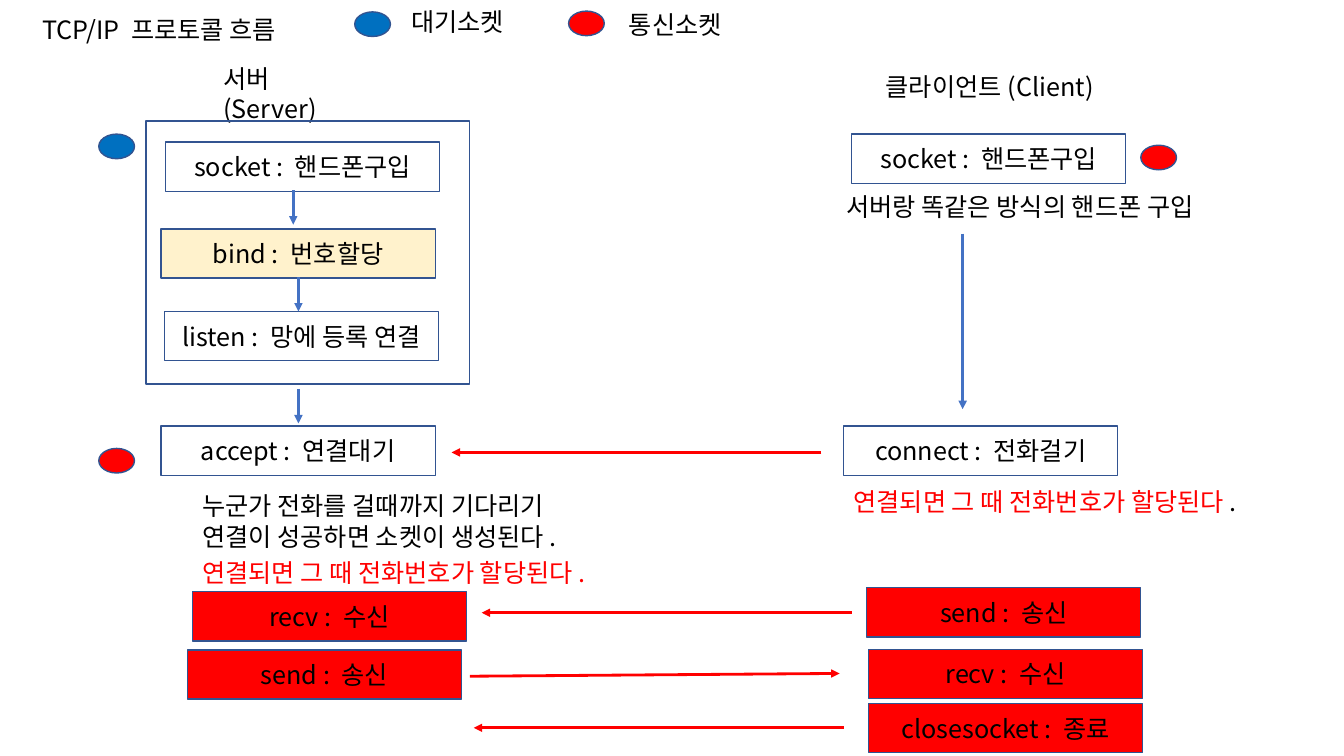
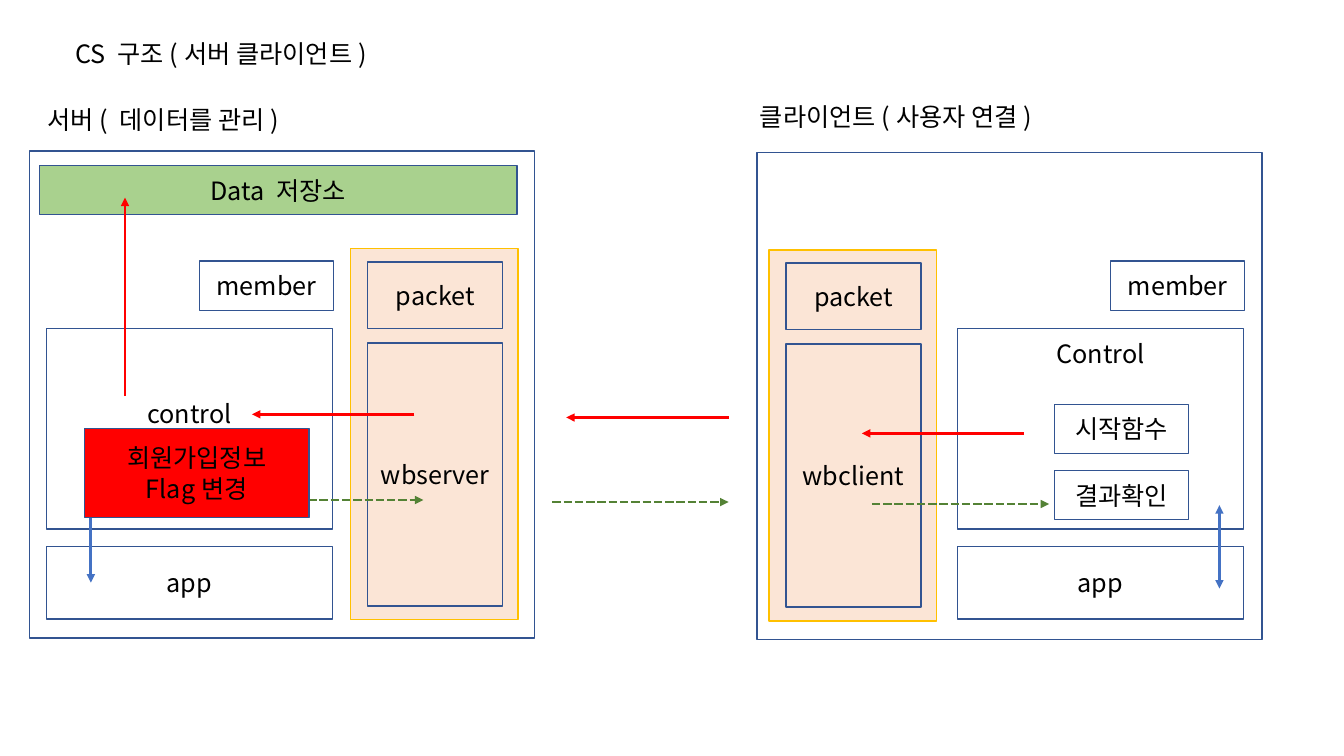
from lxml import etree
from pptx import Presentation
from pptx import util as u
from pptx.dml.color import RGBColor
from pptx.enum import dml, shapes, text
from pptx.oxml import ns

FONT = "Noto Sans CJK KR"
SIZE = 18
COLORS = {"ink": "000000", "edge": "325491", "blue": "4472C4", "wait": "0070C0",
          "red": "FF0000", "green": "548235", "cream": "FFF2CC", "leaf": "A9D18E",
          "peach": "FBE5D6", "gold": "FFC000"}
STEP = (6.91, 1.24)
DOT = (0.9, 0.62)
LABEL_HEIGHT = 1.02
LINE_HEIGHT = 0.76
INSET = 0.13
ASSIGNED = "연결되면 그 때 전화번호가 할당된다"

FLOW_LABELS = [
    ("TCP/IP 프로토콜 흐름", 0.81, 0.23, 6.76),
    ("대기소켓", 10.11, 0.03, 3.07),
    ("통신소켓", 15.6, 0.1, 3.07),
    ("클라이언트(Client)", 22.07, 1.68, 5.77),
    ("서버랑 똑같은 방식의 핸드폰 구입", 21.08, 4.7, 10.39),
]
FLOW_STEPS = [
    ("socket : 핸드폰구입", 4.17, 3.58, None),
    ("bind : 번호할당", 4.06, 5.77, "cream"),
    ("listen : 망에 등록 연결", 4.14, 7.85, None),
    ("accept : 연결대기", 4.06, 10.74, None),
    ("socket : 핸드폰구입", 21.46, 3.38, None),
    ("connect : 전화걸기", 21.26, 10.74, None),
    ("recv : 수신", 4.85, 14.91, "red"),
    ("send : 송신", 4.72, 16.38, "red"),
    ("send : 송신", 21.84, 14.81, "red"),
    ("recv : 수신", 21.89, 16.36, "red"),
    ("closesocket : 종료", 21.89, 17.73, "red"),
]
FLOW_DOTS = [
    (8.94, 0.3, "wait"), (14.33, 0.28, "red"), (2.49, 3.38, "wait"),
    (2.49, 11.3, "red"), (28.75, 3.66, "red"),
]
FLOW_ARROWS = [
    (7.39, 4.8, 7.39, 5.66, "blue"),
    (7.52, 6.99, 7.52, 7.85, "blue"),
    (7.52, 9.8, 7.52, 10.67, "blue"),
    (24.26, 5.89, 24.26, 10.31, "blue"),
    (20.7, 11.4, 11.38, 11.4, "red"),
    (21.46, 15.44, 12.14, 15.44, "red"),
    (11.84, 17.04, 21.16, 16.97, "red"),
    (21.26, 18.34, 11.94, 18.34, "red"),
]

ROLE_LABELS = [
    ("CS 구조(서버 클라이언트)", 1.65, 0.84, 8.1),
    ("서버( 데이터를 관리)", 0.94, 2.51, 6.48),
    ("클라이언트(사용자 연결)", 18.9, 2.44, 7.54),
]
ROLES = [
    {"frame": (0.74, 3.81), "band": (8.84, 6.27), "column": 1.17,
     "library": "wbserver", "control": "control", "lifted_lines": 1},
    {"frame": (19.08, 3.84), "band": (19.38, 6.3), "column": 24.13,
     "library": "wbclient", "control": "Control", "lifted_lines": 5},
]
ROLE_ARROWS = [
    (25.81, 10.92, 21.72, 10.92, "red"),
    (18.36, 10.52, 14.27, 10.52, "red"),
    (10.44, 10.44, 6.35, 10.44, "red"),
    (3.15, 9.98, 3.15, 4.98, "red"),
    (5.21, 12.6, 10.67, 12.6, "green"),
    (13.92, 12.65, 18.36, 12.65, "green"),
    (21.97, 12.7, 26.44, 12.7, "green"),
]
APP_LINKS = [(30.73, 12.73, 30.73, 14.83, "blue"), (2.29, 12.6, 2.29, 14.68, "blue")]
CLIENT_FUNCTIONS = [("시작함수", 10.19), ("결과확인", 11.86)]


def rgb(name):
    return RGBColor.from_string(COLORS[name])


def write(frame, lines, color="ink", align=None):
    for index, line in enumerate(lines):
        para = frame.paragraphs[0] if index == 0 else frame.add_paragraph()
        para.add_run().text = line
        para.font.size = u.Pt(SIZE)
        para.font.name = FONT
        para.font.color.rgb = rgb(color)
        if align is not None:
            para.alignment = align
        props = para._p.pPr.find(ns.qn("a:defRPr"))
        etree.SubElement(props, ns.qn("a:ea")).set("typeface", FONT)


def add_label(page, lines, left, top, width, height=LABEL_HEIGHT, color="ink", wrap=False):
    label = page.shapes.add_textbox(u.Cm(left), u.Cm(top), u.Cm(width), u.Cm(height))
    label.text_frame.word_wrap = wrap
    write(label.text_frame, lines, color)
    return label


def add_box(page, left, top, width, height, lines=(), fill=None, edge="edge",
            kind=shapes.MSO_SHAPE.RECTANGLE, lifted_lines=0):
    box = page.shapes.add_shape(kind, u.Cm(left), u.Cm(top), u.Cm(width), u.Cm(height))
    box.shadow.inherit = False
    if fill:
        box.fill.solid()
        box.fill.fore_color.rgb = rgb(fill)
    else:
        box.fill.background()
    box.line.color.rgb = rgb(edge)
    box.line.width = u.Pt(1)
    frame = box.text_frame
    frame.vertical_anchor = text.MSO_ANCHOR.MIDDLE
    frame.margin_bottom = u.Cm(INSET + lifted_lines * LINE_HEIGHT)
    write(frame, lines, align=text.PP_ALIGN.CENTER)


def add_arrow(page, x1, y1, x2, y2, color, both=False):
    arrow = page.shapes.add_connector(shapes.MSO_CONNECTOR.STRAIGHT,
                                      u.Cm(x1), u.Cm(y1), u.Cm(x2), u.Cm(y2))
    arrow.line.color.rgb = rgb(color)
    arrow.line.width = u.Pt(2)
    if color == "green":
        arrow.line.dash_style = dml.MSO_LINE.SQUARE_DOT
    line = arrow.line._get_or_add_ln()
    for end in ("headEnd", "tailEnd") if both else ("tailEnd",):
        etree.SubElement(line, ns.qn("a:" + end)).set("type", "triangle")
    etree.SubElement(arrow._element.spPr, ns.qn("a:effectLst"))


def build_flow(page):
    for line, left, top, width in FLOW_LABELS:
        add_label(page, [line], left, top, width)
    add_label(page, ["서버(Server)"], 5.38, 1.47, 3.8, wrap=True)
    add_box(page, 3.68, 3.05, 8.15, 6.63)
    for line, left, top, fill in FLOW_STEPS:
        add_box(page, left, top, *STEP, [line], fill)
    for left, top, fill in FLOW_DOTS:
        add_box(page, left, top, *DOT, fill=fill, kind=shapes.MSO_SHAPE.OVAL)
    for arrow in FLOW_ARROWS:
        add_arrow(page, *arrow)
    add_label(page, ["누군가 전화를 걸때까지 기다리기", "연결이 성공하면 소켓이 생성된다."],
              4.85, 12.24, 10.67, 1.8, wrap=True)
    add_label(page, [ASSIGNED + "."], 4.85, 13.92, 11.18, color="red")
    note = add_label(page, [ASSIGNED], 21.26, 12.12, 11.18, color="red")
    period = note.text_frame.paragraphs[0].add_run()
    period.text = "."
    period.font.color.rgb = rgb("ink")


def build_role(page, role):
    column = role["column"]
    left, top = role["band"]
    add_box(page, *role["frame"], 12.73, 12.27)
    add_box(page, column, 13.77, 7.21, 1.83, ["app"])
    add_box(page, column, 8.28, 7.21, 5.05, [role["control"]],
            lifted_lines=role["lifted_lines"])
    add_box(page, column + 3.86, 6.58, 3.38, 1.24, ["member"])
    add_box(page, left, top, 4.22, 9.35, fill="peach", edge="gold")
    add_box(page, left + 0.43, top + 0.33, 3.4, 1.68, ["packet"])
    add_box(page, left + 0.43, top + 2.37, 3.4, 6.63, [role["library"]])


def build_roles(page):
    for line, left, top, width in ROLE_LABELS:
        add_label(page, [line], left, top, width)
    for role in ROLES:
        build_role(page, role)
    add_box(page, 0.99, 4.17, 12.04, 1.24, ["Data 저장소"], "leaf")
    for link in APP_LINKS:
        add_arrow(page, *link, both=True)
    for arrow in ROLE_ARROWS:
        add_arrow(page, *arrow)
    for line, top in CLIENT_FUNCTIONS:
        add_box(page, 26.57, top, 3.38, 1.24, [line])
    add_box(page, 2.13, 10.8, 5.66, 2.24, ["회원가입정보", "Flag변경"], "red")


deck = Presentation()
deck.slide_width, deck.slide_height = u.Cm(33.87), u.Cm(19.05)
for build in (build_flow, build_roles):
    build(deck.slides.add_slide(deck.slide_layouts[6]))
deck.save("out.pptx")
